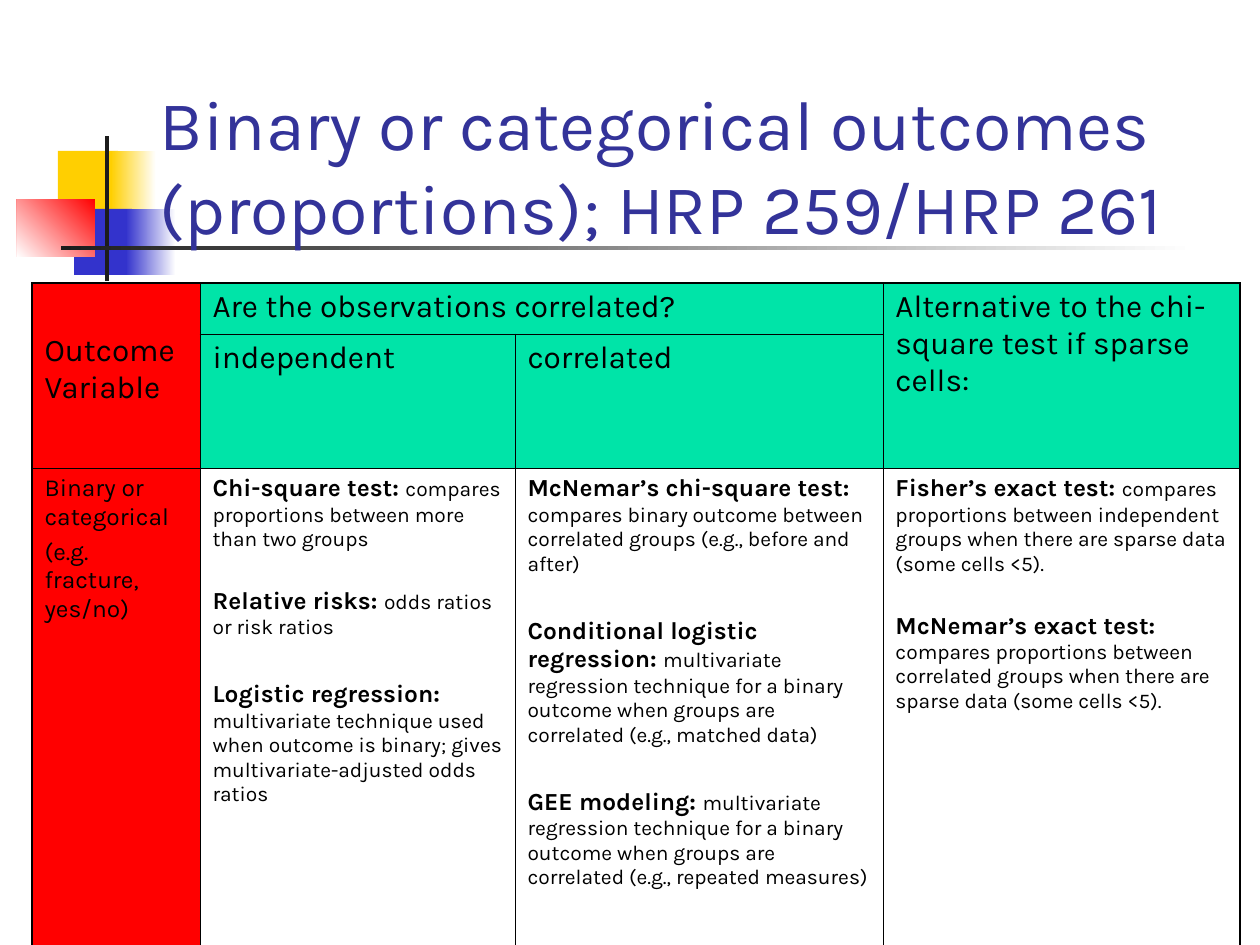
import dataclasses

import lxml.etree
import pptx
import pptx.dml.color
import pptx.enum.shapes
import pptx.enum.text
import pptx.oxml.ns
import pptx.util

EMU_PER_PX = 914400 // 126


@dataclasses.dataclass(frozen=True)
class Theme:
    font: str = "Karla"
    title: str = "333399"
    text: str = "000000"
    white: str = "FFFFFF"
    yellow: str = "FFCF01"
    blue: str = "3333CC"
    red: str = "FF0000"
    green: str = "00E4A8"
    dark: str = "1C1C1C"
    title_size: int = 40
    header_size: int = 18
    label_size: int = 14
    detail_size: int = 12
    outer_line: float = 1.08
    inner_line: float = 0.45


THEME = Theme()

ORNAMENTS = [
    ((58, 151, 60, 66), THEME.yellow, None, 0),
    ((111, 151, 45, 66), THEME.white, THEME.yellow, 180),
    ((74, 209, 58, 66), THEME.blue, None, 0),
    ((126, 209, 50, 66), THEME.white, THEME.blue, 180),
    ((17, 199, 78, 58), THEME.red, THEME.white, 225),
    ((105, 136, 4, 145), THEME.dark, None, 0),
    ((61, 246, 1134, 4), THEME.white, THEME.dark, 180),
]

COLUMN_WIDTHS = [168, 315, 368, 357]
ROW_HEIGHTS = [51, 134, 495]

HEADERS = [
    (0, 0, "Outcome Variable", THEME.red, 50),
    (0, 1, "Are the observations correlated?", THEME.green, 6),
    (0, 3, "Alternative to the chi-square test if sparse cells:", THEME.green, 6),
    (1, 1, "independent", THEME.green, 6),
    (1, 2, "correlated", THEME.green, 6),
]

OUTCOME = ["Binary or categorical", "(e.g. fracture, yes/no)"]

TESTS = {
    1: [
        ("Chi-square test: ", "compares proportions between more than two groups", 0),
        ("Relative risks: ", "odds ratios or risk ratios", 20),
        ("Logistic regression: ",
         "multivariate technique used when outcome is binary; "
         "gives multivariate-adjusted odds ratios", 23),
    ],
    2: [
        ("McNemar’s chi-square test: ",
         "compares binary outcome between correlated groups (e.g., before and after)", 0),
        ("Conditional logistic regression: ",
         "multivariate regression technique for a binary outcome when groups "
         "are correlated (e.g., matched data)", 23),
        ("GEE modeling: ",
         "multivariate regression technique for a binary outcome when groups "
         "are correlated (e.g., repeated measures)", 23),
    ],
    3: [
        ("Fisher’s exact test: ",
         "compares proportions between independent groups when there are "
         "sparse data (some cells <5).", 0),
        ("McNemar’s exact test: ",
         "compares proportions between correlated groups when there are "
         "sparse data (some cells <5).", 20),
    ],
}


def px(length):
    return pptx.util.Emu(length * EMU_PER_PX)


def rgb(color):
    return pptx.dml.color.RGBColor.from_string(color)


def write_text(paragraph, text, size, color=THEME.text, bold=False):
    run = paragraph.add_run()
    run.text = text
    run.font.name = THEME.font
    run.font.size = pptx.util.Pt(size)
    run.font.bold = bold
    run.font.color.rgb = rgb(color)


def next_paragraph(frame, index, space_before):
    paragraph = frame.add_paragraph() if index else frame.paragraphs[0]
    paragraph.space_before = pptx.util.Pt(space_before)
    return paragraph


def add_ornament(slide, box, color, end_color, angle):
    shape = slide.shapes.add_shape(
        pptx.enum.shapes.MSO_SHAPE.RECTANGLE, *map(px, box))
    shape.shadow.inherit = False
    shape.line.fill.background()
    if end_color is None:
        shape.fill.solid()
        shape.fill.fore_color.rgb = rgb(color)
        return
    shape.fill.gradient()
    shape.fill.gradient_angle = angle
    for stop, stop_color, position in zip(
            shape.fill.gradient_stops, (color, end_color), (0, 1)):
        stop.color.rgb = rgb(stop_color)
        stop.position = position


def place_title(slide, text):
    title = slide.shapes.title
    title.left, title.top, title.width, title.height = map(px, (147, 53, 1074, 202))
    frame = title.text_frame
    frame.word_wrap = True
    frame.auto_size = pptx.enum.text.MSO_AUTO_SIZE.NONE
    frame.vertical_anchor = pptx.enum.text.MSO_ANCHOR.BOTTOM
    frame.paragraphs[0].alignment = pptx.enum.text.PP_ALIGN.LEFT
    write_text(frame.paragraphs[0], text, THEME.title_size, THEME.title)
    slide.shapes.element.append(title.element)


def set_borders(cell, row, column):
    properties = cell._tc.get_or_add_tcPr()
    outer_sides = {
        "lnL": column == 0,
        "lnR": column == len(COLUMN_WIDTHS) - 1,
        "lnT": row == 0,
        "lnB": row == len(ROW_HEIGHTS) - 1,
    }
    for side, is_outer in outer_sides.items():
        width = THEME.outer_line if is_outer else THEME.inner_line
        line = lxml.etree.SubElement(
            properties, pptx.oxml.ns.qn(f"a:{side}"), w=str(pptx.util.Pt(width)))
        fill = lxml.etree.SubElement(line, pptx.oxml.ns.qn("a:solidFill"))
        lxml.etree.SubElement(fill, pptx.oxml.ns.qn("a:srgbClr"), val=THEME.text)


def fill_cell(cell, color):
    cell.fill.solid()
    cell.fill.fore_color.rgb = rgb(color)


def add_grid(slide):
    table = slide.shapes.add_table(
        len(ROW_HEIGHTS), len(COLUMN_WIDTHS), px(32), px(283),
        px(sum(COLUMN_WIDTHS)), px(sum(ROW_HEIGHTS))).table
    table.first_row = table.horz_banding = False
    for column, width in zip(table.columns, COLUMN_WIDTHS):
        column.width = px(width)
    for row, height in zip(table.rows, ROW_HEIGHTS):
        row.height = px(height)
    for row in range(len(ROW_HEIGHTS)):
        for column in range(len(COLUMN_WIDTHS)):
            cell = table.cell(row, column)
            set_borders(cell, row, column)
            cell.fill.background()
    for first, last in [((0, 0), (1, 0)), ((0, 1), (0, 2)), ((0, 3), (1, 3))]:
        table.cell(*first).merge(table.cell(*last))
    return table


def fill_table(table):
    for row, column, text, color, top_margin in HEADERS:
        cell = table.cell(row, column)
        fill_cell(cell, color)
        cell.margin_top = px(top_margin)
        write_text(cell.text_frame.paragraphs[0], text, THEME.header_size)
    outcome_cell = table.cell(2, 0)
    fill_cell(outcome_cell, THEME.red)
    for index, text in enumerate(OUTCOME):
        paragraph = next_paragraph(outcome_cell.text_frame, index, 3.5 * index)
        write_text(paragraph, text, THEME.label_size)
    for column, tests in TESTS.items():
        frame = table.cell(2, column).text_frame
        for index, (label, detail, space_before) in enumerate(tests):
            paragraph = next_paragraph(frame, index, space_before)
            write_text(paragraph, label, THEME.label_size, bold=True)
            write_text(paragraph, detail, THEME.detail_size)


def main():
    presentation = pptx.Presentation()
    presentation.slide_width = px(1260)
    presentation.slide_height = px(945)
    slide = presentation.slides.add_slide(presentation.slide_layouts[5])
    for ornament in ORNAMENTS:
        add_ornament(slide, *ornament)
    place_title(slide, "Binary or categorical outcomes (proportions); HRP 259/HRP 261")
    fill_table(add_grid(slide))
    presentation.save("out.pptx")


if __name__ == "__main__":
    main()
